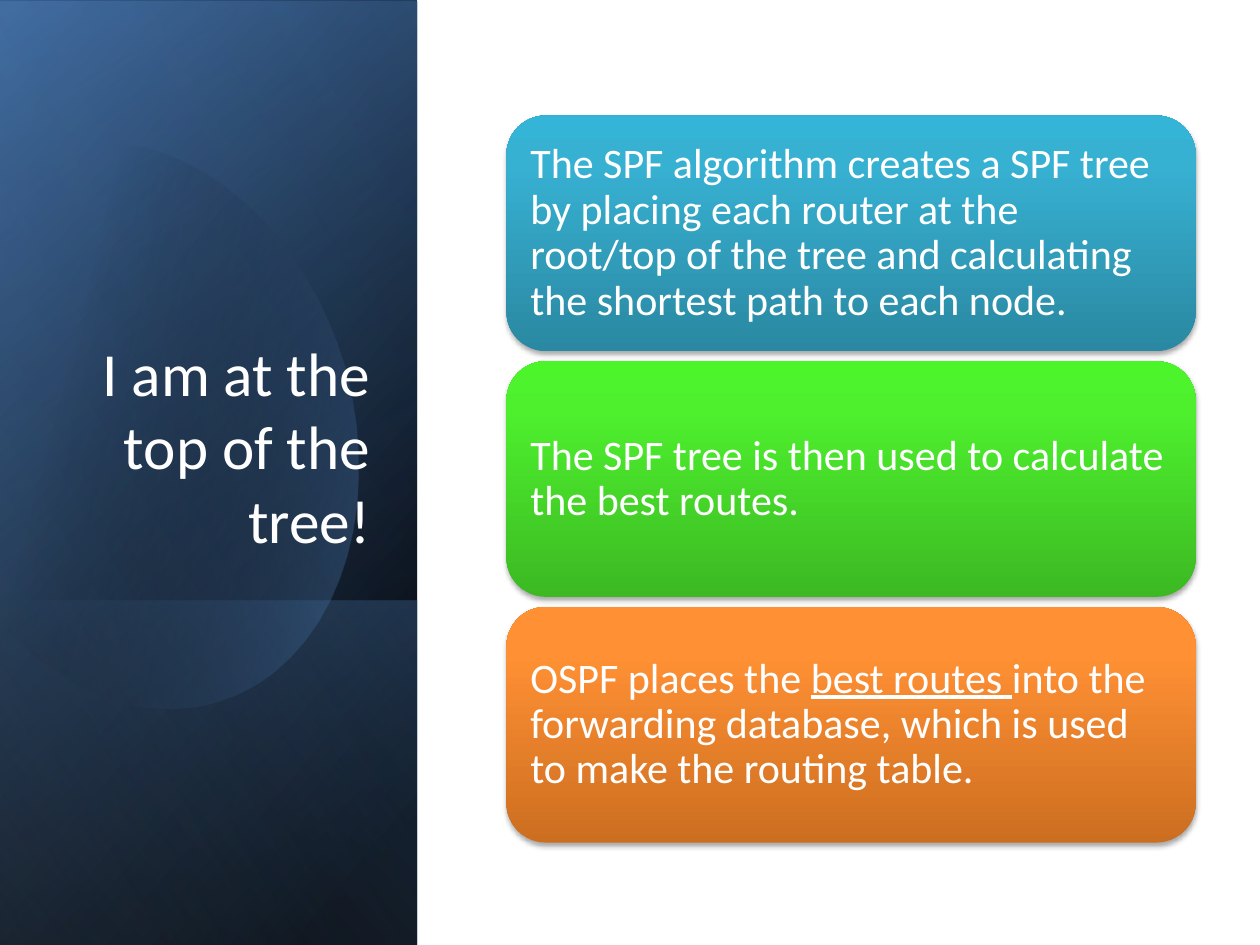
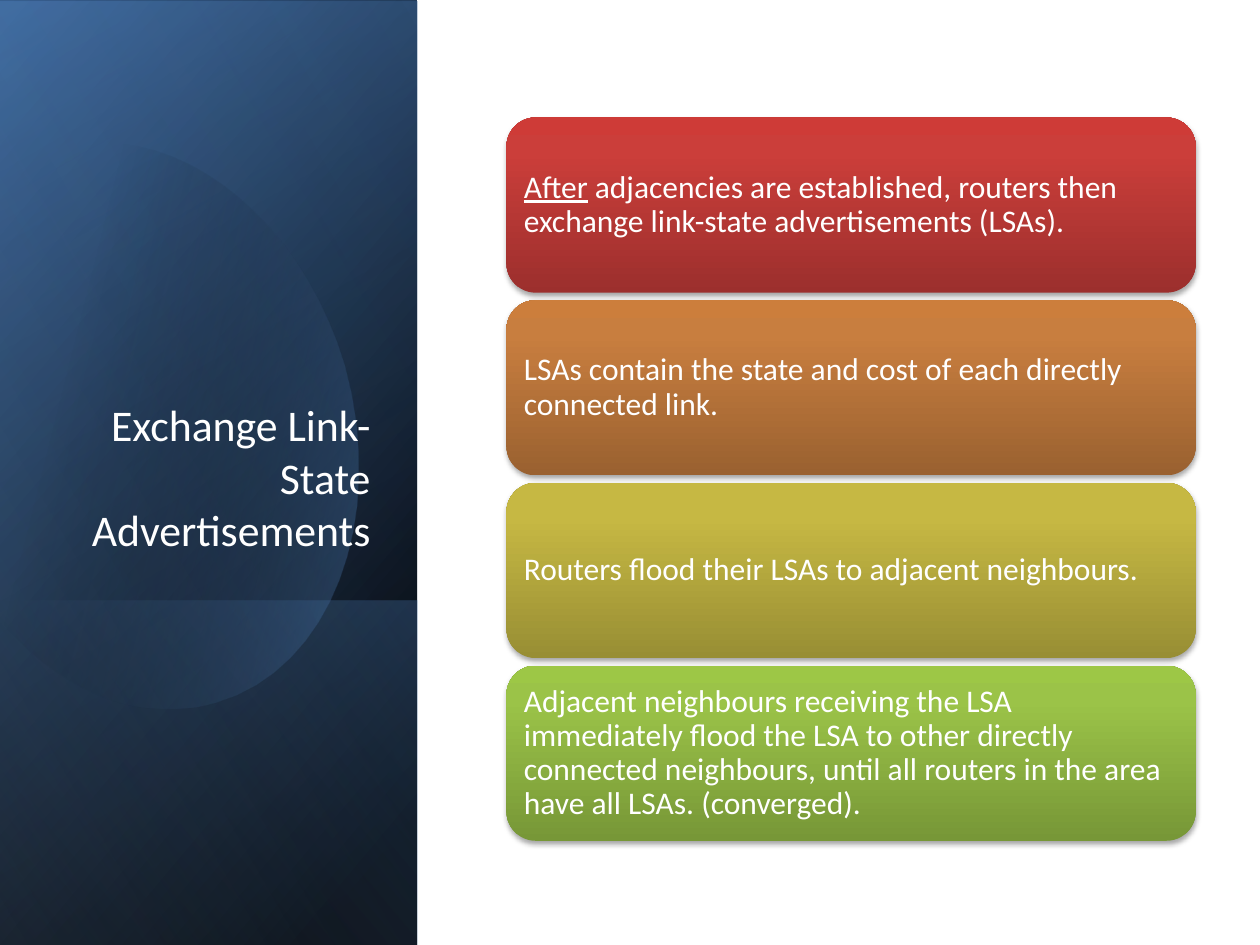
"""Build two slides about the SPF tree and link-state advertisements."""
from dataclasses import dataclass
from typing import NamedTuple

from pptx import Presentation
from pptx.dml.color import RGBColor
from pptx.enum.shapes import MSO_SHAPE
from pptx.enum.text import MSO_ANCHOR, MSO_AUTO_SIZE, PP_ALIGN
from pptx.oxml import parse_xml
from pptx.oxml.ns import nsdecls, qn
from pptx.util import Inches, Pt

RECTANGLE, ROUNDED = MSO_SHAPE.RECTANGLE, MSO_SHAPE.ROUNDED_RECTANGLE
MIDDLE, BOTTOM = MSO_ANCHOR.MIDDLE, MSO_ANCHOR.BOTTOM
LEFT, RIGHT = PP_ALIGN.LEFT, PP_ALIGN.RIGHT
NO_AUTOFIT = MSO_AUTO_SIZE.NONE

WHITE = RGBColor(0xFF, 0xFF, 0xFF)
BLACK = RGBColor(0x00, 0x00, 0x00)
NAVY = RGBColor(0x37, 0x60, 0x92)
BLUE = RGBColor(0x4F, 0x81, 0xBD)
PALE_BLUE = RGBColor(0x95, 0xB3, 0xD7)

FONT = "Calibri"
WIDTH, HEIGHT = Inches(10), Inches(7.5)
BAND_SHARE = 0.331
CARD_LEFT, CARD_WIDTH, STACK_MIDDLE = 0.402, 0.547, 0.507
CARD_UPPER_STOP = 80


class Stop(NamedTuple):
    """A gradient stop, with position and opacity in percent."""

    position: int
    color: RGBColor
    opacity: int = 100


@dataclass(frozen=True)
class BandLayer:
    """A gradient layer of the side band, placed by shares of the slide height."""

    top: float
    height: float
    angle: float
    stops: tuple[Stop, ...]


@dataclass(frozen=True)
class Card:
    """A rounded card whose wording may hold an underlined phrase."""

    shades: tuple[RGBColor, RGBColor, RGBColor]
    before: str
    underlined: str = ""
    after: str = ""


@dataclass(frozen=True)
class Topic:
    """The content and measures of one slide, in inches and points."""

    title: str
    title_size: int
    text_size: int
    card_height: float
    gap: float
    inset: float
    cards: tuple[Card, ...]


LAYERS_BEHIND_LEAF = (
    BandLayer(0, 1, 50, (Stop(8, BLACK), Stop(100, NAVY))),
    BandLayer(0.002, 1, 30, (Stop(0, BLACK, 0), Stop(99, BLUE, 46))),
    BandLayer(0.635, 0.365, 130, (Stop(2, BLUE, 29), Stop(100, BLACK, 30))),
)
LAYER_OVER_LEAF = BandLayer(
    0, 1, 120, (Stop(0, BLACK, 0), Stop(99, PALE_BLUE, 11)))

LEAF_START = (0.96, 1.14)
LEAF_RIGHT_CURVES = (
    ((1.71, 1.22), (2.44, 1.92), (2.73, 2.9)),
    ((3.07, 4.12), (2.62, 5.31), (1.71, 5.57)),
    ((1.14, 5.74), (0.53, 5.5), (0.07, 5)),
)
LEAF_LEFT_EDGE = ((-0.03, 4.88), (-0.25, 1.66), (-0.15, 1.54))
LEAF_TOP_CURVES = (
    ((0.02, 1.37), (0.22, 1.25), (0.45, 1.18)),
    ((0.62, 1.13), (0.79, 1.12), LEAF_START),
)
LEAF_STOPS = (Stop(29, BLACK, 0), Stop(100, BLUE, 43))
LEAF_ANGLE = 14
CURVE_STEPS = 16

TURQUOISE = (RGBColor(0x2A, 0x88, 0xA2), RGBColor(0x37, 0xB1, 0xD2), RGBColor(0x34, 0xB4, 0xD6))
GREEN = (RGBColor(0x3C, 0xB9, 0x23), RGBColor(0x4E, 0xF0, 0x2E), RGBColor(0x4C, 0xF5, 0x2A))
ORANGE = (RGBColor(0xCC, 0x6E, 0x20), RGBColor(0xFF, 0x90, 0x34), RGBColor(0xFF, 0x91, 0x36))
RED = (RGBColor(0x9C, 0x2F, 0x2D), RGBColor(0xCB, 0x3E, 0x3A), RGBColor(0xCE, 0x3B, 0x37))
COPPER = (RGBColor(0x9A, 0x61, 0x30), RGBColor(0xC8, 0x7E, 0x3F), RGBColor(0xCC, 0x7E, 0x3C))
MUSTARD = (RGBColor(0x98, 0x8E, 0x34), RGBColor(0xC6, 0xB8, 0x43), RGBColor(0xC9, 0xBB, 0x41))
LIME = (RGBColor(0x77, 0x97, 0x37), RGBColor(0x9B, 0xC3, 0x48), RGBColor(0x9D, 0xC7, 0x46))

TOPICS = (
    Topic("I am at the top of the tree!", 35, 24, 1.87, 0.08, 0.1, (
        Card(TURQUOISE, "The SPF algorithm creates a SPF tree by placing each router at the "
             "root/top of the tree and calculating the shortest path to each node."),
        Card(GREEN, "The SPF tree is then used to calculate the best routes."),
        Card(ORANGE, "OSPF places the ", "best routes ",
             "into the forwarding database, which is used to make the routing table."),
    )),
    Topic("Exchange Link-State Advertisements", 25, 18, 1.39, 0.06, 0.07, (
        Card(RED, "", "After", " adjacencies are established, routers then exchange "
             "link-state advertisements (LSAs)."),
        Card(COPPER, "LSAs contain the state and cost of each directly connected link."),
        Card(MUSTARD, "Routers flood their LSAs to adjacent neighbours."),
        Card(LIME, "Adjacent neighbours receiving the LSA immediately flood the LSA to other "
             "directly connected neighbours, until all routers in the area have all LSAs. "
             "(converged)."),
    )),
)


def paint(shape, stops: tuple[Stop, ...], angle: float) -> None:
    """Give a shape a linear gradient, no outline and no shadow."""
    shape.fill.gradient()
    shape.line.fill.background()
    shape.shadow.inherit = False
    stop_xml = "".join(
        f'<a:gs pos="{stop.position * 1000}"><a:srgbClr val="{stop.color}">'
        f'<a:alpha val="{stop.opacity * 1000}"/></a:srgbClr></a:gs>'
        for stop in stops)
    gradient = parse_xml(
        f'<a:gradFill {nsdecls("a")} rotWithShape="1"><a:gsLst>{stop_xml}</a:gsLst>'
        f'<a:lin ang="{int(angle * 60000)}" scaled="0"/></a:gradFill>')
    properties = shape._element.spPr
    properties.replace(properties.find(qn("a:gradFill")), gradient)


def cast_shadow(shape) -> None:
    """Add a soft shadow below a shape."""
    effects = shape._element.spPr.find(qn("a:effectLst"))
    effects.append(parse_xml(
        f'<a:outerShdw {nsdecls("a")} blurRad="{Pt(3.1)}" dist="{Pt(1.8)}" dir="5400000" '
        f'rotWithShape="0"><a:srgbClr val="{BLACK}"><a:alpha val="35000"/></a:srgbClr>'
        '</a:outerShdw>'))


def style_runs(paragraph, size: int) -> None:
    """Apply the shared font and colour to every run."""
    for run in paragraph.runs:
        run.font.name = FONT
        run.font.size = Pt(size)
        run.font.color.rgb = WHITE


def draw_layer(slide, layer: BandLayer) -> None:
    """Draw a band layer as a mirrored rectangle turned a quarter."""
    across, down = int(BAND_SHARE * WIDTH), int(layer.height * HEIGHT)
    left = (across - down) // 2
    top = int(layer.top * HEIGHT) + (down - across) // 2
    panel = slide.shapes.add_shape(RECTANGLE, left, top, down, across)
    panel.rotation = 90
    panel._element.spPr.xfrm.set("flipH", "1")
    paint(panel, layer.stops, layer.angle)


def trace_curves(start: tuple, curves: tuple) -> list[tuple]:
    """Return points along a chain of cubic curves."""
    points = []
    for first, second, end in curves:
        for step in range(1, CURVE_STEPS + 1):
            t = step / CURVE_STEPS
            weights = ((1 - t) ** 3, 3 * t * (1 - t) ** 2, 3 * t * t * (1 - t), t ** 3)
            corners = (start, first, second, end)
            points.append(tuple(
                sum(weight * corner[axis] for weight, corner in zip(weights, corners))
                for axis in (0, 1)))
        start = end
    return points


def draw_leaf(slide) -> None:
    """Draw the translucent leaf on the side band."""
    outline = [
        LEAF_START,
        *trace_curves(LEAF_START, LEAF_RIGHT_CURVES),
        *LEAF_LEFT_EDGE,
        *trace_curves(LEAF_LEFT_EDGE[-1], LEAF_TOP_CURVES),
    ]
    corners = [(Inches(x), Inches(y)) for x, y in outline]
    builder = slide.shapes.build_freeform(*corners[0])
    builder.add_line_segments(corners[1:], close=True)
    paint(builder.convert_to_shape(), LEAF_STOPS, LEAF_ANGLE)


def draw_band(slide) -> None:
    """Draw the side band with its leaf."""
    for layer in LAYERS_BEHIND_LEAF:
        draw_layer(slide, layer)
    draw_leaf(slide)
    draw_layer(slide, LAYER_OVER_LEAF)


def place_title(slide, topic: Topic) -> None:
    """Set the title at the right of the band, in front of it."""
    title = slide.shapes.title
    title.left, title.top = Inches(0.48), Inches(1.84)
    title.width, title.height = Inches(2.56), Inches(2.62)
    frame = title.text_frame
    frame.text = topic.title
    frame.word_wrap = True
    frame.auto_size = NO_AUTOFIT
    frame.vertical_anchor = BOTTOM
    frame.paragraphs[0].alignment = RIGHT
    style_runs(frame.paragraphs[0], topic.title_size)
    slide.shapes._spTree.append(title._element)


def draw_card(slide, topic: Topic, card: Card, top: int) -> None:
    """Draw one card with its wording."""
    box = slide.shapes.add_shape(
        ROUNDED, int(CARD_LEFT * WIDTH), top, int(CARD_WIDTH * WIDTH), Inches(topic.card_height))
    paint(box, tuple(map(Stop, (0, CARD_UPPER_STOP, 100), card.shades)), 270)
    cast_shadow(box)
    frame = box.text_frame
    frame.word_wrap = True
    frame.vertical_anchor = MIDDLE
    frame.margin_left = frame.margin_right = Inches(topic.inset)
    frame.margin_top = frame.margin_bottom = Inches(topic.inset)
    paragraph = frame.paragraphs[0]
    paragraph.alignment = LEFT
    paragraph.line_spacing = 0.9
    for wording in filter(None, (card.before, card.underlined, card.after)):
        run = paragraph.add_run()
        run.text = wording
        run.font.underline = wording == card.underlined
    style_runs(paragraph, topic.text_size)


def draw_cards(slide, topic: Topic) -> None:
    """Stack the cards evenly around the middle line."""
    pitch = Inches(topic.card_height + topic.gap)
    stack_height = len(topic.cards) * pitch - Inches(topic.gap)
    top = int(STACK_MIDDLE * HEIGHT - stack_height / 2)
    for row, card in enumerate(topic.cards):
        draw_card(slide, topic, card, top + row * pitch)


def main() -> None:
    """Build and save the presentation."""
    deck = Presentation()
    deck.slide_width, deck.slide_height = WIDTH, HEIGHT
    title_only = deck.slide_layouts.get_by_name("Title Only")
    for topic in TOPICS:
        slide = deck.slides.add_slide(title_only)
        draw_band(slide)
        place_title(slide, topic)
        draw_cards(slide, topic)
    deck.save("out.pptx")


if __name__ == "__main__":
    main()
